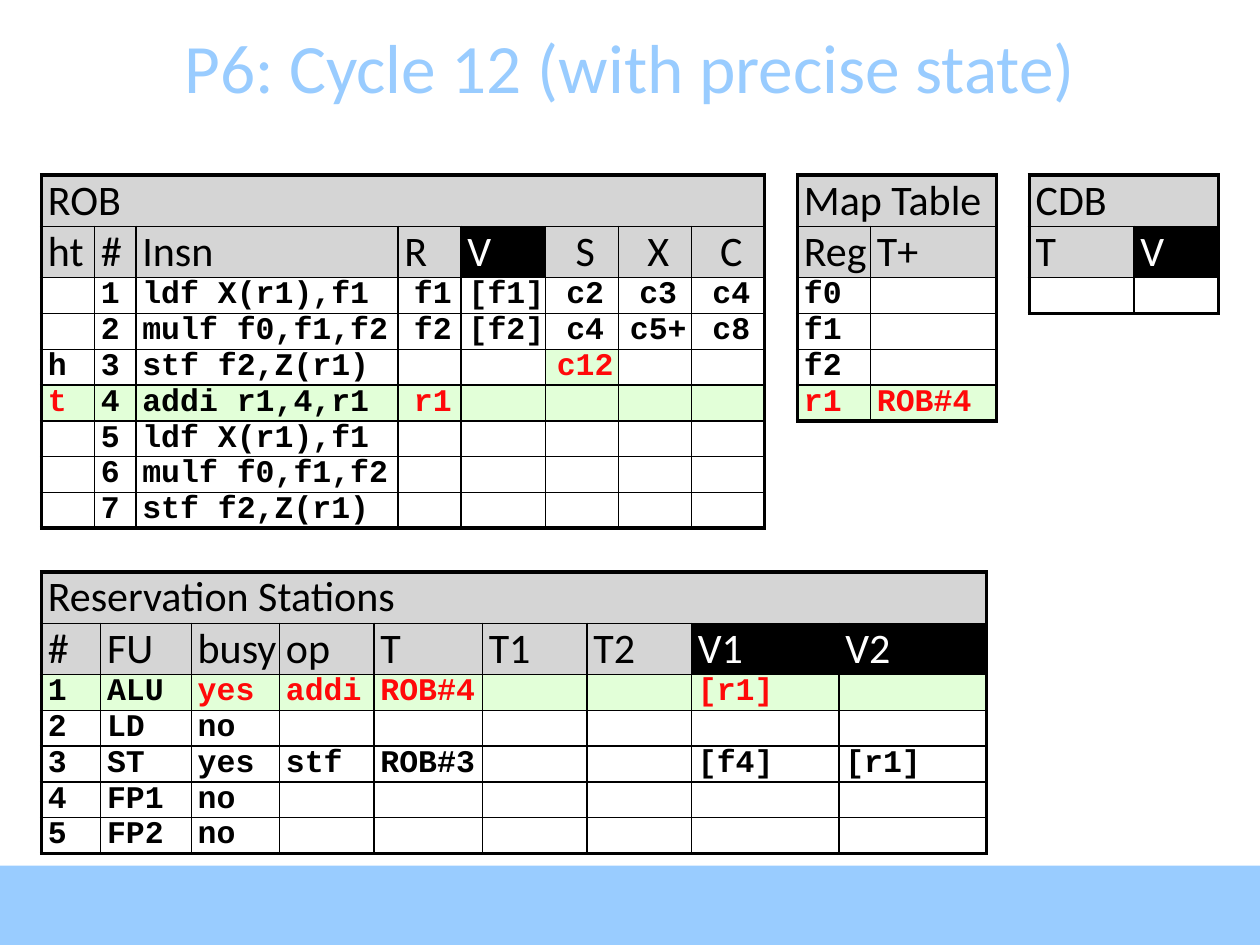
from lxml.etree import SubElement
from pptx import Presentation
from pptx.dml.color import RGBColor as RGB
from pptx.enum.shapes import MSO_SHAPE as Shape
from pptx.enum.text import MSO_ANCHOR as Anchor, PP_ALIGN as Align
from pptx.oxml.ns import qn
from pptx.util import Inches, Pt

HEX = {"blue": "99CCFF", "grey": "D5D5D5", "green": "E2FFD8",
       "red": "FF0909", "black": "000000", "white": "FFFFFF"}
COLOR = {name: RGB.from_string(code) for name, code in HEX.items()}
CODE = "Courier New"

# In the rows, "!" marks red text, and missing cells at the end are empty.
TABLES = [
    {"title": "ROB", "left": 0.33, "top": 1.39,
     "cols": [0.42, 0.33, 2.08, 0.5, 0.67, 0.58, 0.58, 0.58],
     "heads": ["ht", "#", "Insn", "R", "V", "S", "X", "C"],
     "rows": [["", "1", "ldf X(r1),f1", "f1", "[f1]", "c2", "c3", "c4"],
              ["", "2", "mulf f0,f1,f2", "f2", "[f2]", "c4", "c5+", "c8"],
              ["h", "3", "stf f2,Z(r1)", "", "", "!c12"],
              ["!t", "4", "addi r1,4,r1", "!r1"],
              ["", "5", "ldf X(r1),f1"],
              ["", "6", "mulf f0,f1,f2"],
              ["", "7", "stf f2,Z(r1)"]],
     "green": [(2, 5)] + [(3, c) for c in range(8)],
     "center": 3},
    {"title": "Map Table", "left": 6.33, "top": 1.39, "cols": [0.58, 1],
     "heads": ["Reg", "T+"],
     "rows": [["f0"], ["f1"], ["f2"], ["!r1", "!ROB#4"]],
     "green": [(3, 0), (3, 1)]},
    {"title": "Reservation Stations", "left": 0.33, "top": 4.54,
     "cols": [0.47, 0.72, 0.7, 0.75, 0.86, 0.83, 0.83, 1.17, 1.17],
     "heads": ["#", "FU", "busy", "op", "T", "T1", "T2", "V1", "V2"],
     "rows": [["1", "ALU", "!yes", "!addi", "!ROB#4", "", "", "![r1]"],
              ["2", "LD", "no"],
              ["3", "ST", "yes", "stf", "ROB#3", "", "", "[f4]", "[r1]"],
              ["4", "FP1", "no"],
              ["5", "FP2", "no"]],
     "green": [(0, c) for c in range(9)]},
    {"title": "CDB", "left": 8.17, "top": 1.39, "cols": [0.83, 0.67],
     "heads": ["T", "V"], "rows": [[]], "green": []},
]


def style(cell, text, size, face, color, fill, align):
    cell.margin_left = Inches(0.05)
    cell.margin_top = cell.margin_right = cell.margin_bottom = 0
    cell.fill.solid()
    cell.fill.fore_color.rgb = COLOR[fill]
    cell.text = text
    para = cell.text_frame.paragraphs[0]
    para.alignment = align
    font = para.font
    font.size, font.name, font.bold = Pt(size), face, face == CODE
    font.color.rgb = COLOR[color]
    if not text:  # an empty cell takes its height from the end mark
        end = SubElement(para._p, qn("a:endParaRPr"), sz=str(size * 100), b="1")
        SubElement(end, qn("a:latin"), typeface=face)


def border(cell, outer):
    """Draw thick lines on the outer sides and thin lines on the others."""
    props = cell._tc.get_or_add_tcPr()
    for i, side in enumerate("LRTB"):
        width = Pt(2.25 if side in outer else 1)
        line = props.makeelement(qn(f"a:ln{side}"), {"w": str(width)})
        props.insert(i, line)
        SubElement(SubElement(line, qn("a:solidFill")), qn("a:srgbClr"),
                   val=HEX["black"])


prs = Presentation()
prs.slide_width, prs.slide_height = Inches(10), Inches(7.5)
slide = prs.slides.add_slide(prs.slide_layouts[5])

band = slide.shapes.add_shape(Shape.RECTANGLE, 0, Inches(6.87), Inches(10), Inches(0.63))
band.shadow.inherit = False
band.fill.solid()
band.fill.fore_color.rgb = COLOR["blue"]
band.line.fill.background()

title = slide.shapes.title
title.left, title.top, title.width, title.height = 0, Inches(0.21), Inches(10), Inches(0.63)
title.text_frame.text = "P6: Cycle 12 (with precise state)"
title.text_frame.vertical_anchor = Anchor.MIDDLE
para = title.text_frame.paragraphs[0]
para.alignment = Align.CENTER
para.font.size, para.font.name = Pt(39.6), "Calibri"
para.font.color.rgb = COLOR["blue"]

for spec in TABLES:
    cols, heads, rows = spec["cols"], spec["heads"], spec["rows"]
    wide, high = len(cols), len(rows) + 2
    frame = slide.shapes.add_table(high, wide, Inches(spec["left"]), Inches(spec["top"]),
                                   Inches(sum(cols)), Inches(0.27 * high))
    table = frame.table
    table.first_row = table.horz_banding = False
    for col, width in zip(table.columns, cols):
        col.width = Inches(width)
    for row in table.rows:
        row.height = Inches(0.27)

    for c, head in enumerate(heads):
        style(table.cell(0, c), "" if c else spec["title"], 24, "Calibri",
              "black", "grey", Align.LEFT)
        dark = head.startswith("V")
        style(table.cell(1, c), head, 24, "Calibri",
              "white" if dark else "black", "black" if dark else "grey",
              Align.CENTER if head in ("S", "X", "C") else Align.LEFT)
    for r, row in enumerate(rows):
        for c in range(wide):
            text = row[c] if c < len(row) else ""
            style(table.cell(r + 2, c), text.lstrip("!"), 18, CODE,
                  "red" if text.startswith("!") else "black",
                  "green" if (r, c) in spec["green"] else "white",
                  Align.CENTER if c >= spec.get("center", wide) else Align.LEFT)

    table.cell(0, 0).merge(table.cell(0, wide - 1))
    for r in range(high):
        for c in range(wide):
            outer = ("T" if r == 0 else "") + ("B" if r == high - 1 else "")
            outer += "LR" if r == 0 else ("L" if c == 0 else "") + ("R" if c == wide - 1 else "")
            border(table.cell(r, c), outer)

prs.save("out.pptx")
